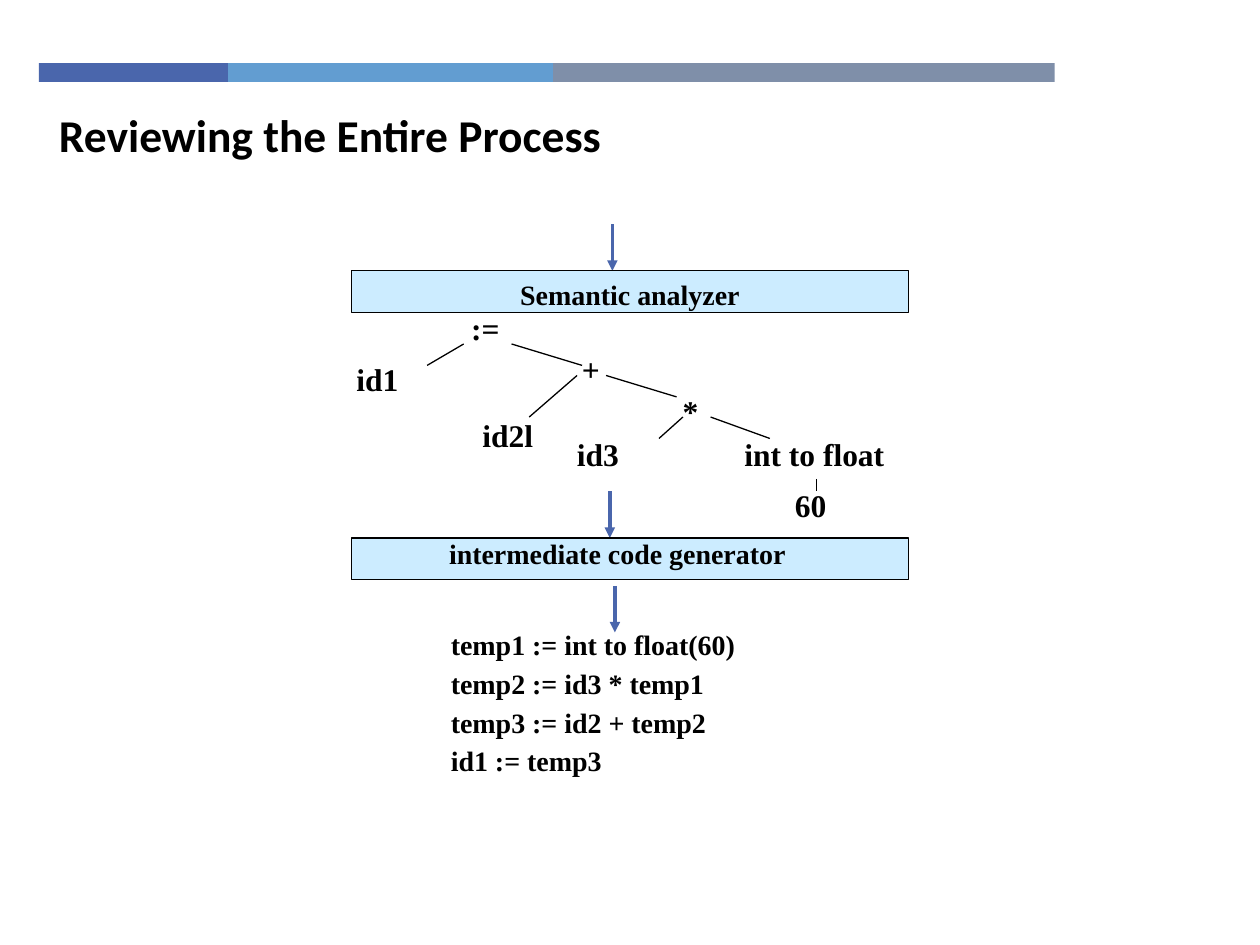
from lxml.etree import SubElement
from pptx import Presentation
from pptx.dml.color import RGBColor
from pptx.enum.shapes import MSO_CONNECTOR, MSO_SHAPE
from pptx.enum.text import MSO_ANCHOR, PP_ALIGN
from pptx.oxml.ns import qn
from pptx.util import Inches, Pt

BLACK = RGBColor(0x00, 0x00, 0x00)
INDIGO = RGBColor(0x4A, 0x66, 0xAC)
SKY = RGBColor(0x62, 0x9D, 0xD1)
SLATE = RGBColor(0x7F, 0x8F, 0xA9)
PALE_BLUE = RGBColor(0xCC, 0xEC, 0xFF)
SERIF = "Times New Roman"

STAGE_WIDTH, STAGE_HEIGHT = 4.42, 0.33
ARROW_LENGTH = 0.37


def add_rectangle(slide, left, top, width, height, fill, outline=None):
    rectangle = slide.shapes.add_shape(
        MSO_SHAPE.RECTANGLE, Inches(left), Inches(top), Inches(width), Inches(height))
    rectangle.shadow.inherit = False
    rectangle.fill.solid()
    rectangle.fill.fore_color.rgb = fill
    if outline is None:
        rectangle.line.fill.background()
    else:
        rectangle.line.color.rgb = outline
        rectangle.line.width = Pt(0.75)


def add_text(slide, left, top, width, height, text, size, font=SERIF,
             align=PP_ALIGN.LEFT, anchor=MSO_ANCHOR.TOP):
    """Add bold black text, one paragraph per line, and return its frame."""
    box = slide.shapes.add_textbox(
        Inches(left), Inches(top), Inches(width), Inches(height))
    frame = box.text_frame
    frame.word_wrap = True
    frame.vertical_anchor = anchor
    frame.text = text
    for paragraph in frame.paragraphs:
        paragraph.alignment = align
        for run in paragraph.runs:
            run.font.name = font
            run.font.size = Pt(size)
            run.font.bold = True
            run.font.color.rgb = BLACK
    return frame


def add_line(slide, x1, y1, x2, y2, color=BLACK, width=0.75):
    line = slide.shapes.add_connector(
        MSO_CONNECTOR.STRAIGHT, Inches(x1), Inches(y1), Inches(x2), Inches(y2))
    line.line.color.rgb = color
    line.line.width = Pt(width)
    SubElement(line._element.spPr, qn("a:effectLst"))
    return line


def add_flow_arrow(slide, x, top):
    arrow = add_line(slide, x, top, x, top + ARROW_LENGTH, INDIGO, 2)
    SubElement(arrow.line._get_or_add_ln(), qn("a:tailEnd"), type="triangle")


def add_header(slide, left, top):
    # Colour band
    segment_left = left
    for width, color in ((1.5, INDIGO), (2.58, SKY), (3.98, SLATE)):
        add_rectangle(slide, segment_left, top, width, 0.15, color)
        segment_left += width
    # Title
    add_text(slide, left + 0.06, top + 0.3, 7.16, 0.54,
             "Reviewing the Entire Process", 26, "Calibri", anchor=MSO_ANCHOR.MIDDLE)


def add_stage(slide, left, top, name, label_dx, label_dy):
    add_rectangle(slide, left, top, STAGE_WIDTH, STAGE_HEIGHT, PALE_BLUE, BLACK)
    add_text(slide, left + label_dx, top + label_dy, 4.08, 0.37, name, 16,
             align=PP_ALIGN.CENTER)


def add_syntax_tree(slide, left, top):
    # Nodes: text, offset from the tree's corner, width
    nodes = (
        (":=", 0.91, 0, 0.75),
        ("id1", 0, 0.41, 1.41),
        ("id2l", 1, 0.85, 1.41),
        ("id3", 1.75, 1, 1.41),
        ("+", 1.79, 0.33, 0.75),
        ("*", 2.59, 0.66, 0.75),
        ("int to float", 3.08, 1, 1.4),
        ("60", 3.48, 1.41, 0.83),
    )
    for text, dx, dy, width in nodes:
        add_text(slide, left + dx, top + dy, width, 0.4, text, 18)

    # Branches from parent to child
    branches = (
        (0.95, 0.33, 0.66, 0.5),    # := to id1
        (1.33, 0.33, 1.89, 0.5),    # := to +
        (1.85, 0.58, 1.47, 0.91),   # + to id2l
        (2.08, 0.58, 2.64, 0.75),   # + to *
        (2.69, 0.91, 2.5, 1.08),    # * to id3
        (2.91, 0.91, 3.38, 1.08),   # * to int to float
        (3.75, 1.4, 3.75, 1.5),     # int to float to 60
    )
    for x1, y1, x2, y2 in branches:
        add_line(slide, left + x1, top + y1, left + x2, top + y2)


def add_intermediate_code(slide, left, top):
    code = "\n".join((
        "temp1 := int to float(60)",
        "temp2 := id3 * temp1",
        "temp3 := id2 + temp2",
        "id1 := temp3",
    ))
    frame = add_text(slide, left, top, 3.67, 1.33, code, 16)
    for paragraph in frame.paragraphs[1:]:
        paragraph.line_spacing = 0.7
        paragraph.space_before = Pt(8.6)


def main():
    presentation = Presentation()
    presentation.slide_width = Inches(10)
    presentation.slide_height = Inches(7.5)
    slide = presentation.slides.add_slide(presentation.slide_layouts[6])

    add_header(slide, 0.31, 0.5)

    # Semantic analysis and its tree
    add_flow_arrow(slide, 4.86, 1.78)
    add_stage(slide, 2.79, 2.15, "Semantic analyzer", 0.17, 0)
    add_syntax_tree(slide, 2.73, 2.4)

    # Code generation and its result
    add_flow_arrow(slide, 4.84, 3.9)
    add_stage(slide, 2.79, 4.27, "intermediate code generator", 0.07, -0.06)
    add_flow_arrow(slide, 4.88, 4.65)
    add_intermediate_code(slide, 3.48, 4.93)

    presentation.save("out.pptx")


if __name__ == "__main__":
    main()
